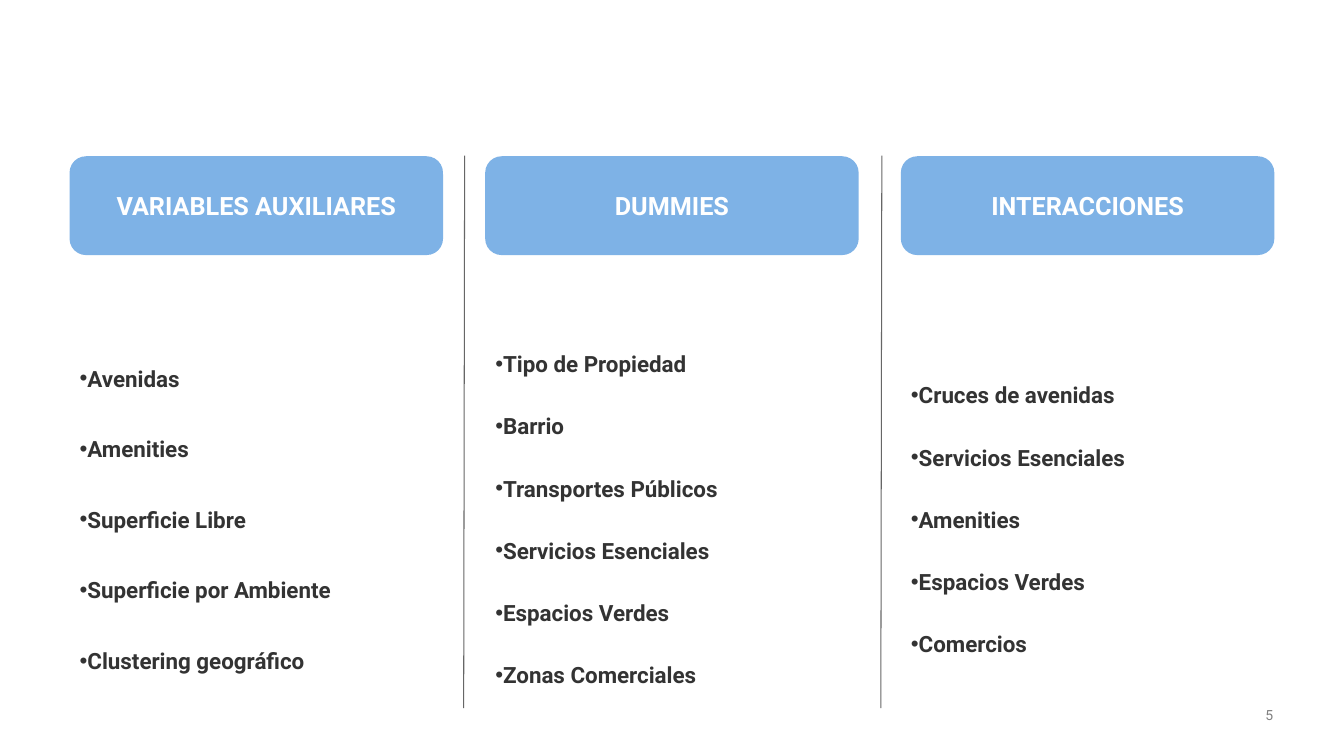
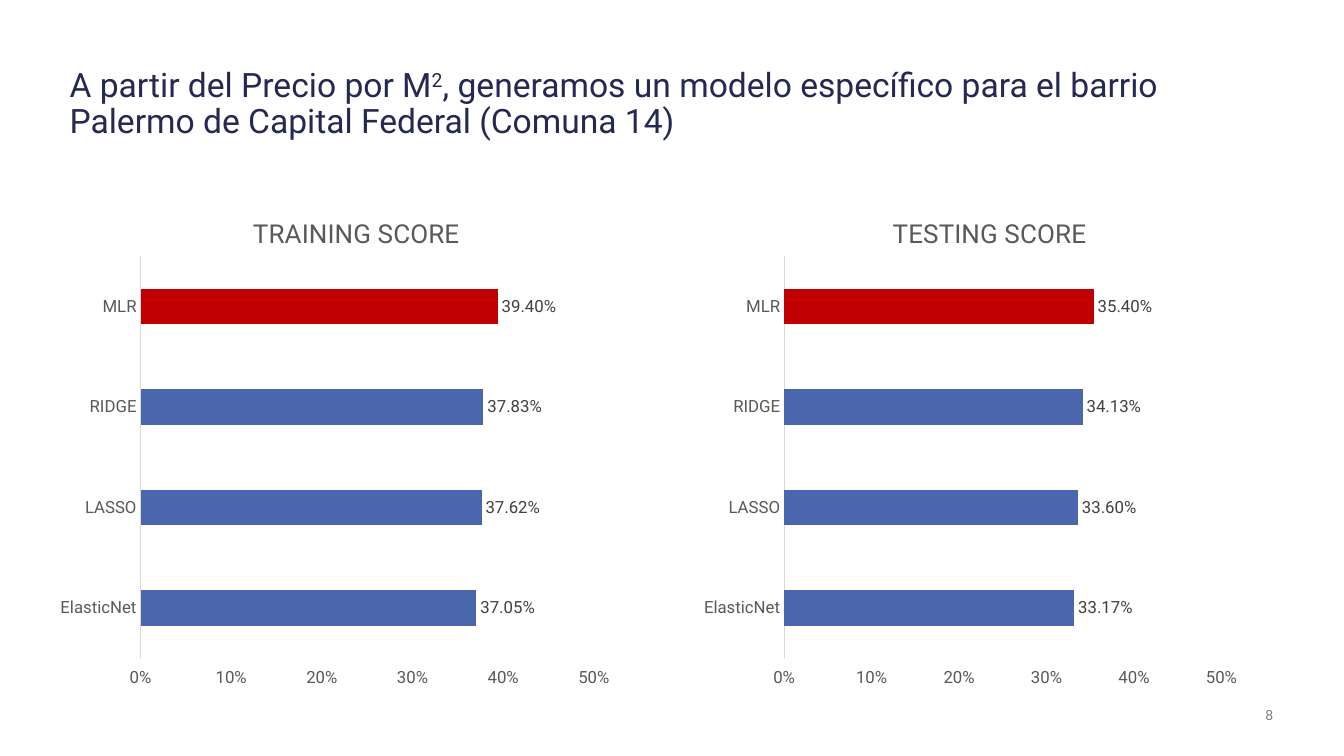
from lxml import etree
from pptx import Presentation
from pptx.chart import data as chart_data
from pptx.dml.color import RGBColor
from pptx.enum import chart as charts, shapes, text
from pptx.oxml import ns
from pptx.util import Pt

FONT = "Roboto"
WHITE = RGBColor(0xFF, 0xFF, 0xFF)
SKY = RGBColor(0x7E, 0xB2, 0xE6)
NAVY = RGBColor(0x24, 0x28, 0x52)
BLUE = RGBColor(0x4A, 0x66, 0xAC)
RED = RGBColor(0xC0, 0x00, 0x00)
INK = RGBColor(0x33, 0x33, 0x33)
LABEL = RGBColor(0x40, 0x40, 0x40)
AXIS_TEXT = RGBColor(0x59, 0x59, 0x59)
RULE = RGBColor(0x66, 0x66, 0x66)
MUTED = RGBColor(0x80, 0x80, 0x80)
AXIS_LINE = RGBColor(0xD9, 0xD9, 0xD9)

COMPARISON, TITLE_ONLY = 4, 5
MARGIN = 49.7
COLUMN_STEP, COLUMN_WIDTH = 296.9, 266.8
DIVIDER_LEFT, DIVIDER_STEP = 331.9, 298
MODELS = ["MLR", "RIDGE", "LASSO", "ElasticNet"]
COLUMNS = [
    ("VARIABLES AUXILIARES", 6,
     ["Avenidas", "Amenities", "Superficie Libre",
      "Superficie por Ambiente", "Clustering geográfico"]),
    ("DUMMIES", 0,
     ["Tipo de Propiedad", "Barrio", "Transportes Públicos",
      "Servicios Esenciales", "Espacios Verdes", "Zonas Comerciales"]),
    ("INTERACCIONES", 0,
     ["Cruces de avenidas", "Servicios Esenciales", "Amenities",
      "Espacios Verdes", "Comercios"]),
]


class Deck:
    """Holds the shared style and the slide being built."""

    def __init__(self):
        self.presentation = Presentation()
        self.presentation.slide_width = Pt(960)
        self.presentation.slide_height = Pt(540)
        self.slide = None

    def start(self, layout, number):
        layouts = self.presentation.slide_layouts
        self.slide = self.presentation.slides.add_slide(layouts[layout])
        box = self.slide.shapes.add_textbox(Pt(879), Pt(504), Pt(30.4), Pt(12.6))
        frame = self.frame(box, text.MSO_ANCHOR.BOTTOM, 0)
        paragraph = frame.paragraphs[0]
        paragraph.alignment = text.PP_ALIGN.RIGHT
        self.run(paragraph, number, 10, MUTED)

    def frame(self, shape, anchor, inset=None):
        frame = shape.text_frame
        frame.word_wrap = True
        frame.auto_size = text.MSO_AUTO_SIZE.NONE
        frame.vertical_anchor = anchor
        if inset is not None:
            frame.margin_left = frame.margin_right = Pt(inset)
            frame.margin_top = frame.margin_bottom = Pt(inset)
        return frame

    def style(self, font, size, color, bold=False):
        font.name, font.size, font.bold = FONT, Pt(size), bold
        font.color.rgb = color

    def run(self, paragraph, words, size, color, bold=False):
        run = paragraph.add_run()
        run.text = words
        self.style(run.font, size, color, bold)
        return run

    def place(self, shape, left, top, width, height):
        shape.left, shape.top = Pt(left), Pt(top)
        shape.width, shape.height = Pt(width), Pt(height)

    def title(self, before, superscript, after):
        title = self.slide.shapes.title
        self.place(title, MARGIN, 49, 861, 52.6)
        paragraph = self.frame(title, text.MSO_ANCHOR.TOP, 0).paragraphs[0]
        paragraph.alignment = text.PP_ALIGN.LEFT
        paragraph.line_spacing = 0.9
        for words in (before, superscript, after):
            run = self.run(paragraph, words, 24, NAVY)
            if words == superscript:
                run.font._element.set("baseline", "30000")

    def heading(self, left, words):
        shape = self.slide.shapes.add_shape(
            shapes.MSO_SHAPE.ROUNDED_RECTANGLE,
            Pt(left), Pt(111.6), Pt(COLUMN_WIDTH), Pt(70.6))
        shape.shadow.inherit = False
        shape.fill.solid()
        shape.fill.fore_color.rgb = SKY
        shape.line.fill.background()
        paragraph = self.frame(shape, text.MSO_ANCHOR.MIDDLE).paragraphs[0]
        paragraph.alignment = text.PP_ALIGN.CENTER
        self.run(paragraph, words, 18, WHITE, True)

    def bullets(self, placeholder, left, items, space_after):
        self.place(placeholder, left, 202.5, COLUMN_WIDTH, 317.6)
        frame = self.frame(placeholder, text.MSO_ANCHOR.MIDDLE)
        for index, item in enumerate(items):
            paragraph = frame.add_paragraph() if index else frame.paragraphs[0]
            properties = paragraph._p.get_or_add_pPr()
            properties.set("marL", "0")
            properties.set("indent", "0")
            etree.SubElement(properties, ns.qn("a:buFont"), typeface="Arial")
            etree.SubElement(properties, ns.qn("a:buChar"), char="•")
            paragraph.alignment = text.PP_ALIGN.LEFT
            paragraph.line_spacing = 2.0
            paragraph.space_before = Pt(6 if index else 0)
            paragraph.space_after = Pt(space_after)
            self.run(paragraph, item, 16, INK, True)

    def divider(self, left):
        line = self.slide.shapes.add_connector(
            shapes.MSO_CONNECTOR.STRAIGHT,
            Pt(left), Pt(111.2), Pt(left - 0.7), Pt(505.8))
        line.line.color.rgb = RULE
        line.line.width = Pt(0.75)
        etree.SubElement(line._element.spPr, ns.qn("a:effectLst"))

    def layout(self, parent, position, **values):
        for old in parent.findall(ns.qn("c:layout")):
            parent.remove(old)
        layout = etree.Element(ns.qn("c:layout"))
        manual = etree.SubElement(layout, ns.qn("c:manualLayout"))
        for name, value in values.items():
            etree.SubElement(manual, ns.qn("c:" + name), val=str(value))
        parent.insert(position, layout)

    def bar_chart(self, left, width, heading, plot_left, scores):
        data = chart_data.CategoryChartData(number_format="0.00%")
        data.categories = MODELS
        data.add_series("Series 1", scores)
        chart = self.slide.shapes.add_chart(
            charts.XL_CHART_TYPE.BAR_CLUSTERED,
            Pt(left), Pt(140.4), Pt(width), Pt(356.4), data).chart
        chart.has_legend = False
        chart.font.name, chart.font.size = FONT, Pt(10)
        self.run(chart.chart_title.text_frame.paragraphs[0], heading, 18.6, AXIS_TEXT)
        self.layout(chart.chart_title._element, 1,
                    xMode="edge", yMode="edge", x=0.33, y=0.03)
        self.layout(chart._chartSpace.chart.plotArea, 0, layoutTarget="inner",
                    xMode="edge", yMode="edge", x=plot_left, y=0.12,
                    w=0.716, h=0.805)
        self.axes(chart)
        plot = chart.plots[0]
        plot.gap_width = 182
        plot.vary_by_categories = False
        series = plot.series[0]
        for part, color in ((series, BLUE), (series.points[0], RED)):
            part.format.fill.solid()
            part.format.fill.fore_color.rgb = color
        labels = series.data_labels
        labels.show_value = True
        labels.position = charts.XL_LABEL_POSITION.OUTSIDE_END
        labels.number_format, labels.number_format_is_linked = "0.00%", False
        self.style(labels.font, 12, LABEL)

    def axes(self, chart):
        category, value = chart.category_axis, chart.value_axis
        for axis in (category, value):
            axis.has_major_gridlines = False
            axis.major_tick_mark = charts.XL_TICK_MARK.NONE
            axis.minor_tick_mark = charts.XL_TICK_MARK.NONE
            self.style(axis.tick_labels.font, 12, AXIS_TEXT)
        category.reverse_order = True
        category.format.line.color.rgb = AXIS_LINE
        category.format.line.width = Pt(0.75)
        value.tick_label_position = charts.XL_TICK_LABEL_POSITION.HIGH
        value.format.line.fill.background()
        value.minimum_scale, value.maximum_scale = 0, 0.5
        value.major_unit = 0.1
        value.tick_labels.number_format = "0%"
        value.tick_labels.number_format_is_linked = False

    def remove_empty(self):
        for placeholder in list(self.slide.placeholders):
            if not placeholder.text_frame.text:
                placeholder.element.getparent().remove(placeholder.element)


def variables_slide(deck):
    deck.start(COMPARISON, "5")
    bodies = list(deck.slide.placeholders)[1:]
    for index, (heading, space_after, items) in enumerate(COLUMNS):
        left = MARGIN + index * COLUMN_STEP
        deck.heading(left, heading)
        deck.bullets(bodies[index], left, items, space_after)
    for index in range(len(COLUMNS) - 1):
        deck.divider(DIVIDER_LEFT + index * DIVIDER_STEP)
    deck.remove_empty()


def scores_slide(deck):
    deck.start(TITLE_ONLY, "8")
    deck.title("A partir del Precio por M", "2",
               ", generamos un modelo específico para el barrio "
               "Palermo de Capital Federal (Comuna 14)")
    deck.bar_chart(28.1, 452.2, "TRAINING SCORE", 0.16,
                   [0.394, 0.3783, 0.3762, 0.3705])
    deck.bar_chart(490.3, 436.3, "TESTING SCORE", 0.16,
                   [0.354, 0.3413, 0.336, 0.3317])


def main():
    deck = Deck()
    variables_slide(deck)
    scores_slide(deck)
    deck.presentation.save("out.pptx")


if __name__ == "__main__":
    main()
